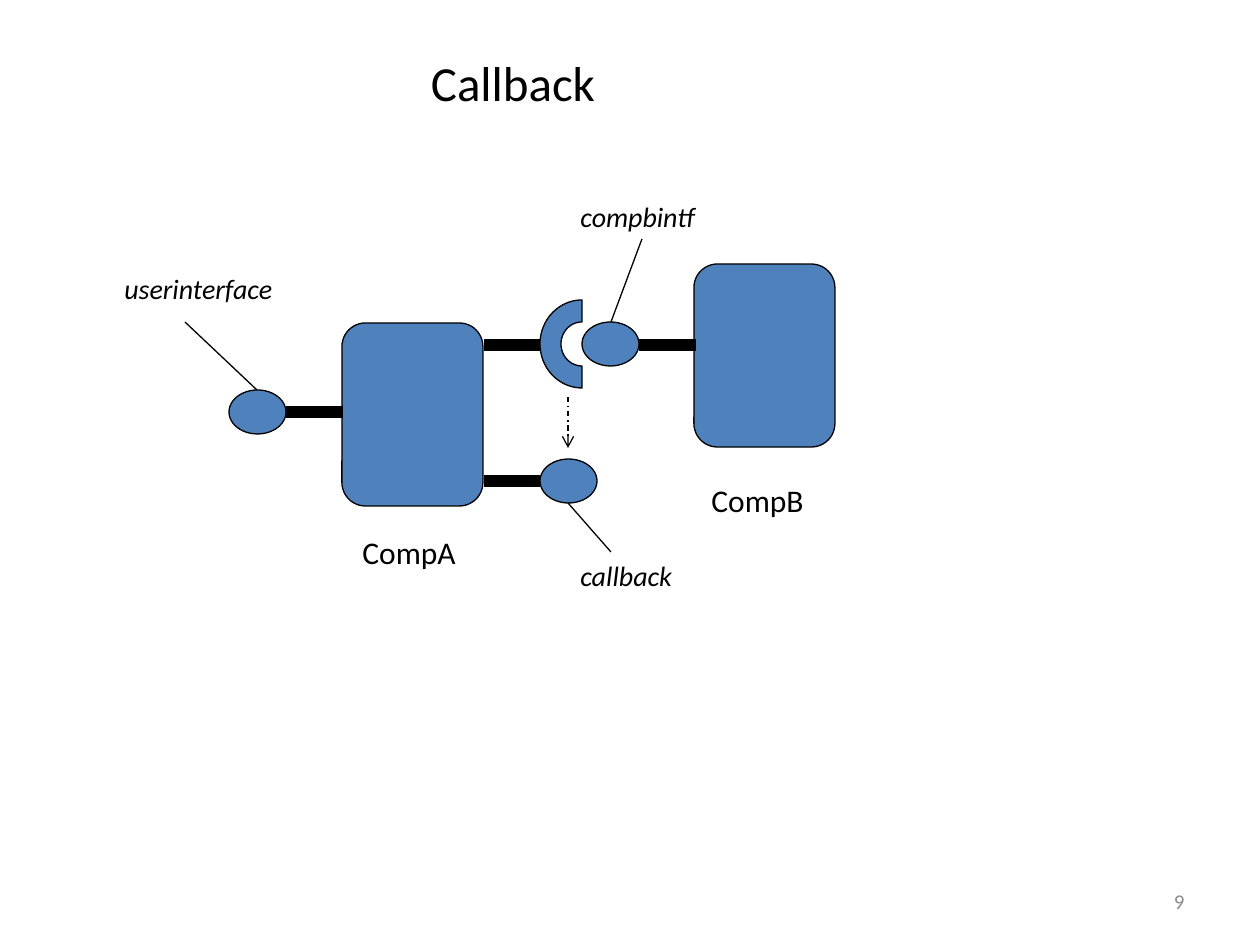
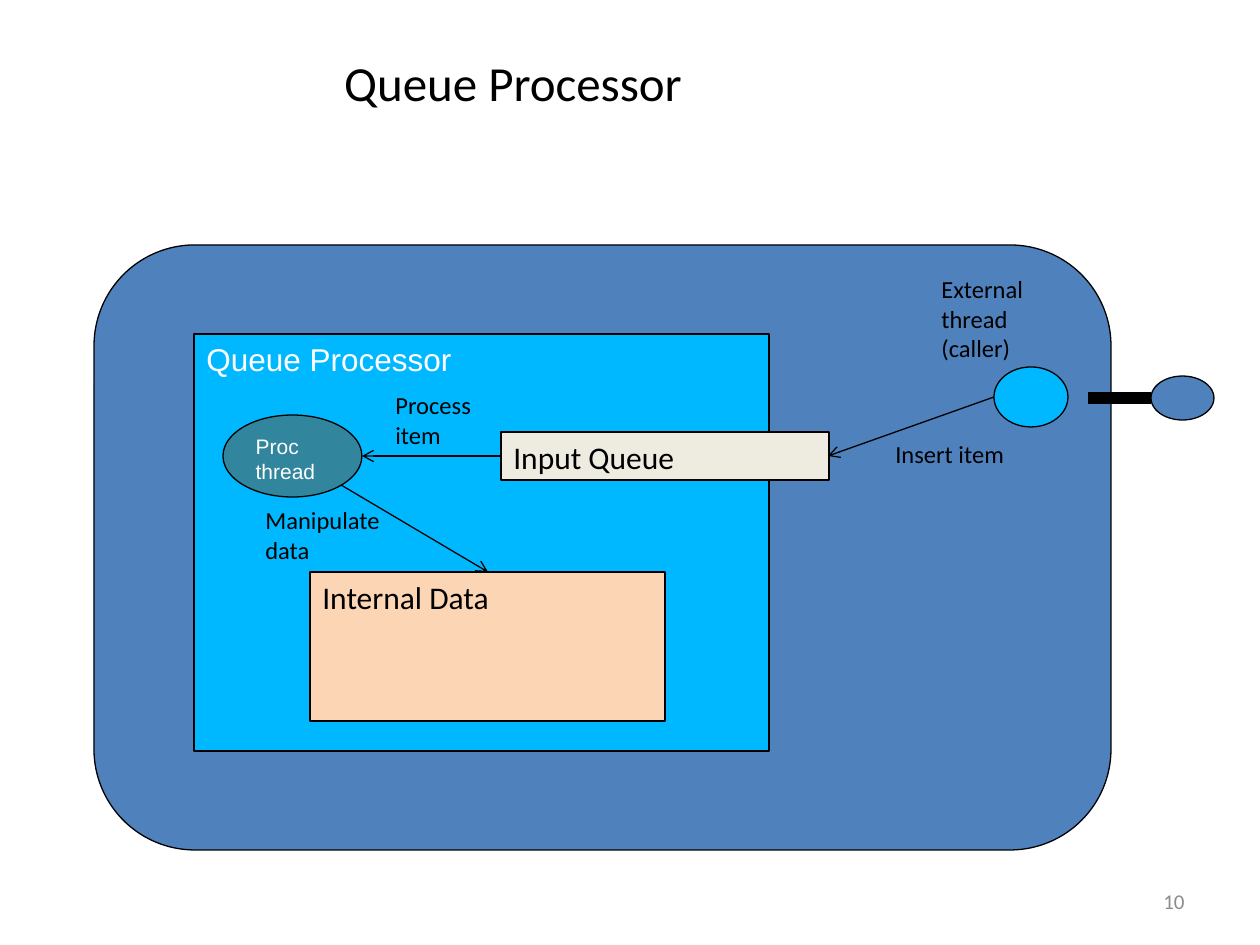
"""Build two component diagrams: a callback and a queue processor."""
from math import cos, pi, sin

from lxml.etree import SubElement
from pptx import Presentation
from pptx.dml.color import RGBColor
from pptx.enum.dml import MSO_LINE
from pptx.enum.shapes import MSO_CONNECTOR, MSO_SHAPE
from pptx.enum.text import MSO_ANCHOR, MSO_AUTO_SIZE, PP_ALIGN
from pptx.oxml.ns import qn
from pptx.util import Inches, Pt

PIXEL = Inches(1) / 126
BLACK, WHITE, GRAY = "000000", "FFFFFF", "8C8C8C"
BLUE, CYAN, TEAL, CREAM, PEACH = "4F81BD", "00B8FF", "31859C", "EEECE1", "FCD5B5"
THIN, THICK = 0.75, 7.2
ROUNDED, OVAL, BOX = MSO_SHAPE.ROUNDED_RECTANGLE, MSO_SHAPE.OVAL, MSO_SHAPE.RECTANGLE


def emu(*pixels):
    return [round(pixel * PIXEL) for pixel in pixels]


def write(shape, text, size, colour=BLACK, font="Calibri", align=PP_ALIGN.LEFT,
          anchor=MSO_ANCHOR.TOP, italic=False):
    frame = shape.text_frame
    frame.text = text
    frame.word_wrap = True
    frame.vertical_anchor = anchor
    for paragraph in frame.paragraphs:
        paragraph.alignment = align
        for run in paragraph.runs:
            run.font.size = Pt(size)
            run.font.name = font
            run.font.italic = italic
            run.font.color.rgb = RGBColor.from_string(colour)


callback = {
    "title": "Callback",
    "number": "9",
    "nodes": [
        (ROUNDED, (342, 323, 141, 183), BLUE, None),
        (ROUNDED, (694, 264, 141, 183), BLUE, None),
        (OVAL, (229, 390, 57, 44), BLUE, None),
        (OVAL, (582, 322, 57, 44), BLUE, None),
        (OVAL, (540, 459, 57, 44), BLUE, None),
    ],
    "lines": [
        ((484, 345, 540, 345), THICK, None, False),
        ((484, 481, 540, 481), THICK, None, False),
        ((696, 345, 639, 345), THICK, None, False),
        ((343, 412, 286, 412), THICK, None, False),
        ((611, 322, 642, 239), THIN, None, False),
        ((568, 503, 611, 552), THIN, None, False),
        ((257, 390, 185, 322), THIN, None, False),
        ((568, 397, 568, 448), THIN, MSO_LINE.DASH_DOT, True),
    ],
    "labels": [
        ("CompA", (350, 527, 131, 50), 18, False),
        ("CompB", (699, 475, 131, 50), 18, False),
        ("compbintf", (568, 193, 147, 47), 16, True),
        ("callback", (568, 552, 127, 47), 16, True),
        ("userinterface", (112, 265, 189, 47), 16, True),
    ],
}
queue_processor = {
    "title": "Queue Processor",
    "number": "10",
    "nodes": [
        (ROUNDED, (94, 245, 1017, 605), BLUE, None),
        (OVAL, (1151, 376, 63, 44), BLUE, None),
        (BOX, (194, 334, 575, 417), CYAN, ("Queue Processor", 18, WHITE, "Arial")),
        (BOX, (501, 432, 328, 48), CREAM, ("Input Queue", 18)),
        (OVAL, (223, 415, 139, 82), TEAL, ("Proc\vthread", 12, WHITE, "Arial")),
        (BOX, (310, 572, 355, 149), PEACH, ("Internal Data", 18)),
        (OVAL, (994, 367, 74, 60), CYAN, None),
    ],
    "lines": [
        ((1088, 398, 1151, 398), THICK, None, False),
        ((501, 456, 362, 456), THIN, None, True),
        ((341, 485, 488, 572), THIN, None, True),
        ((994, 397, 828, 456), THIN, None, True),
    ],
    "labels": [
        ("Process\vitem", (383, 384, 115, 72), 14, False),
        ("Manipulate\vdata", (253, 499, 152, 72), 14, False),
        ("External\vthread\n(caller)", (929, 268, 123, 102), 14, False),
        ("Insert item", (883, 433, 141, 43), 14, False),
    ],
}

presentation = Presentation()
presentation.slide_width, presentation.slide_height = Inches(10), Inches(7.5)

for diagram in (callback, queue_processor):
    slide = presentation.slides.add_slide(presentation.slide_layouts[5])
    title = slide.shapes.title
    title.left, title.top, title.width, title.height = emu(86, 16, 854, 131)
    write(title, diagram["title"], 28, align=PP_ALIGN.CENTER, anchor=MSO_ANCHOR.MIDDLE)
    number = slide.shapes.add_textbox(*emu(903, 876, 294, 50))
    write(number, diagram["number"], 12, GRAY, align=PP_ALIGN.RIGHT, anchor=MSO_ANCHOR.MIDDLE)

    nodes = []
    for kind, box, fill, caption in diagram["nodes"]:
        shape = slide.shapes.add_shape(kind, *emu(*box))
        if caption:
            write(shape, *caption)
        nodes.append((shape, fill))
    if diagram is callback:
        angles = [pi / 2 + pi * step / 40 for step in range(41)]
        outer = [(582 + 42 * cos(angle), 344 + 44 * sin(angle)) for angle in angles]
        inner = [(582 + 21 * cos(angle), 344 + 22 * sin(angle)) for angle in reversed(angles)]
        outline = [emu(*point) for point in outer + inner]
        builder = slide.shapes.build_freeform(*outline[0])
        builder.add_line_segments(outline[1:], close=True)
        nodes.append((builder.convert_to_shape(), BLUE))
    for shape, fill in nodes:
        shape.shadow.inherit = False
        shape.fill.solid()
        shape.fill.fore_color.rgb = RGBColor.from_string(fill)
        shape.line.color.rgb = RGBColor.from_string(BLACK)
        shape.line.width = Pt(THIN)

    for ends, width, dash, arrow in diagram["lines"]:
        connector = slide.shapes.add_connector(MSO_CONNECTOR.STRAIGHT, *emu(*ends))
        connector.line.color.rgb = RGBColor.from_string(BLACK)
        connector.line.width = Pt(width)
        if dash:
            connector.line.dash_style = dash
        if arrow:
            SubElement(connector.line._get_or_add_ln(), qn("a:tailEnd"), type="arrow")
        SubElement(connector._element.spPr, qn("a:effectLst"))

    for text, box, size, italic in diagram["labels"]:
        label = slide.shapes.add_textbox(*emu(*box))
        write(label, text, size, italic=italic)
        label.text_frame.word_wrap = False
        label.text_frame.auto_size = MSO_AUTO_SIZE.SHAPE_TO_FIT_TEXT

presentation.save("out.pptx")
